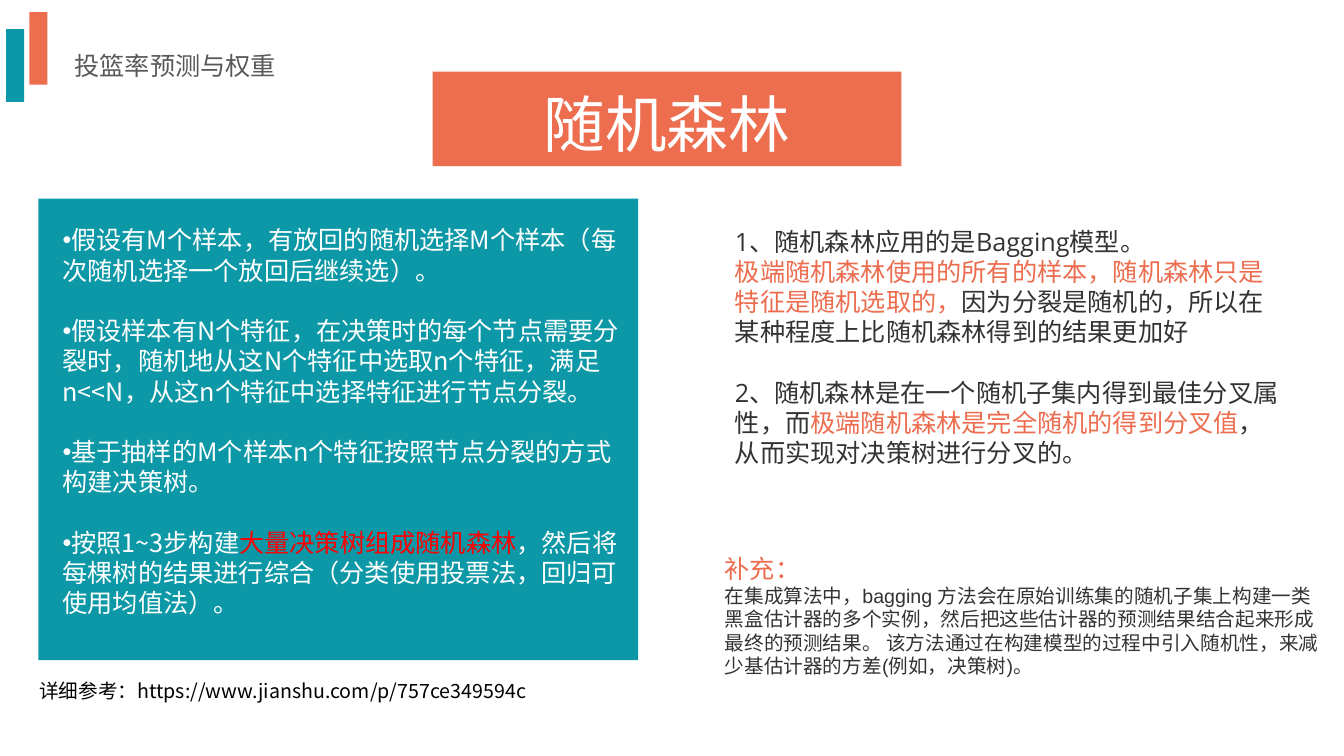
from pptx import Presentation
from pptx.dml.color import RGBColor
from pptx.enum.shapes import MSO_SHAPE
from pptx.enum.text import MSO_ANCHOR, MSO_AUTO_SIZE, PP_ALIGN
from pptx.oxml.ns import qn
from pptx.util import Pt
from lxml import etree

PX = 9144  # EMU per px, 100 px to the inch
RECT = MSO_SHAPE.RECTANGLE
TOP, MIDDLE = MSO_ANCHOR.TOP, MSO_ANCHOR.MIDDLE
LEFT, JUSTIFY = PP_ALIGN.LEFT, PP_ALIGN.JUSTIFY
NO_FIT = MSO_AUTO_SIZE.NONE
TEAL = RGBColor(0x0C, 0x98, 0xA6)
CORAL = RGBColor(0xED, 0x6D, 0x4F)
RED = RGBColor(0xFF, 0, 0)
WHITE = RGBColor(0xFF, 0xFF, 0xFF)
BLACK = RGBColor(0, 0, 0)
GREY = RGBColor(0x59, 0x59, 0x59)
DARK = RGBColor(0x33, 0x33, 0x33)
NOTO, OPEN, ARIAL = "Noto Sans CJK SC", "Open Sans", "Arial"
GAP = 21.6  # one line of 18 pt text

deck = Presentation()
deck.slide_width, deck.slide_height = 1333 * PX, 750 * PX
slide = deck.slides.add_slide(deck.slide_layouts[1])
shapes = slide.shapes
title, body = slide.placeholders


def place(shape, box):
    shape.left, shape.top, shape.width, shape.height = (n * PX for n in box)


def write(shape, box, face, paras, anchor=TOP, align=LEFT, bullet=False):
    """Each paragraph is (size, space before, [(text, colour), ...])."""
    place(shape, box)
    frame = shape.text_frame
    form = {"word_wrap": True, "auto_size": NO_FIT, "vertical_anchor": anchor}
    for key, value in form.items():
        setattr(frame, key, value)
    for i, (size, before, runs) in enumerate(paras):
        para = frame.add_paragraph() if i else frame.paragraphs[0]
        form = {"alignment": align, "space_before": Pt(before), "line_spacing": 1.0}
        for key, value in form.items():
            setattr(para, key, value)
        if bullet:
            props = para._p.get_or_add_pPr()
            props.set("marL", "0")
            props.set("indent", "0")
            etree.SubElement(props, qn("a:buChar")).set("char", "•")
        for text, color in runs:
            run = para.add_run()
            run.text = text
            font = run.font
            font.size, font.name, font.color.rgb = Pt(size), face, color
            east = etree.SubElement(font._element, qn("a:ea"))
            east.set("typeface", NOTO)


# Panel, banner and corner bars
for box, color in [
    ((38, 197, 595, 458), TEAL),
    ((429, 71, 465, 94), CORAL),
    ((29, 12, 18, 72), CORAL),
    ((6, 29, 18, 72), TEAL),
]:
    block = shapes.add_shape(RECT, *(n * PX for n in box))
    block.shadow.inherit = False
    block.fill.solid()
    block.fill.fore_color.rgb = color
    block.line.fill.background()

# Title and list stand in front of the blocks
for holder in (title, body):
    shapes.element.append(holder.element)

write(title, (529, 70, 686, 120), NOTO, [(44, 0, [("随机森林", WHITE)])])
title.text_frame.paragraphs[0].line_spacing = 1.14

steps = [
    [("假设有M个样本，有放回的随机选择M个样本（每次随机选择一个放回后继续选）。", WHITE)],
    [("假设样本有N个特征，在决策时的每个节点需要分裂时，随机地从这N个特征中选取n个特征，"
      "满足n<<N，从这n个特征中选择特征进行节点分裂。", WHITE)],
    [("基于抽样的M个样本n个特征按照节点分裂的方式构建决策树。", WHITE)],
    [("按照1~3步构建", WHITE), ("大量决策树组成随机森林", RED),
     ("，然后将每棵树的结果进行综合（分类使用投票法，回归可使用均值法）。", WHITE)],
]
write(body, (52, 218, 572, 404), NOTO,
      [(18, GAP if i else 0, runs) for i, runs in enumerate(steps)], bullet=True)

# Section name, reference, comparison and supplement
points = [
    (18, 0, [("1、随机森林应用的是Bagging模型。", DARK)]),
    (18, 0, [("极端随机森林使用的所有的样本，随机森林只是特征是随机选取的，", CORAL),
             ("因为分裂是随机的，所以在某种程度上比随机森林得到的结果更加好", DARK)]),
    (18, GAP, [("2、随机森林是在一个随机子集内得到最佳分叉属性，而", DARK),
               ("极端随机森林是完全随机的得到分叉值", CORAL),
               ("，从而实现对决策树进行分叉的。", DARK)]),
]
extra = [
    (18, 0, [("补充：", CORAL)]),
    (14, 0, [("在集成算法中，bagging 方法会在原始训练集的随机子集上构建一类黑盒估计器的多个实例，"
              "然后把这些估计器的预测结果结合起来形成最终的预测结果。 "
              "该方法通过在构建模型的过程中引入随机性，来减少基估计器的方差(例如，决策树)。", DARK)]),
]
link = [(14, 0, [("详细参考：https://www.jianshu.com/p/757ce349594c", BLACK)])]
topic = [(18, 0, [("投篮率预测与权重", GREY)])]
for box, face, paras, anchor, align in [
    ((29, 669, 560, 34), NOTO, link, TOP, LEFT),
    ((64, 45, 233, 40), NOTO, topic, TOP, JUSTIFY),
    ((719, 218, 563, 252), OPEN, points, MIDDLE, LEFT),
    ((709, 544, 614, 135), ARIAL, extra, TOP, LEFT),
]:
    note = shapes.add_textbox(0, 0, PX, PX)
    write(note, box, face, paras, anchor, align)

deck.save("out.pptx")
